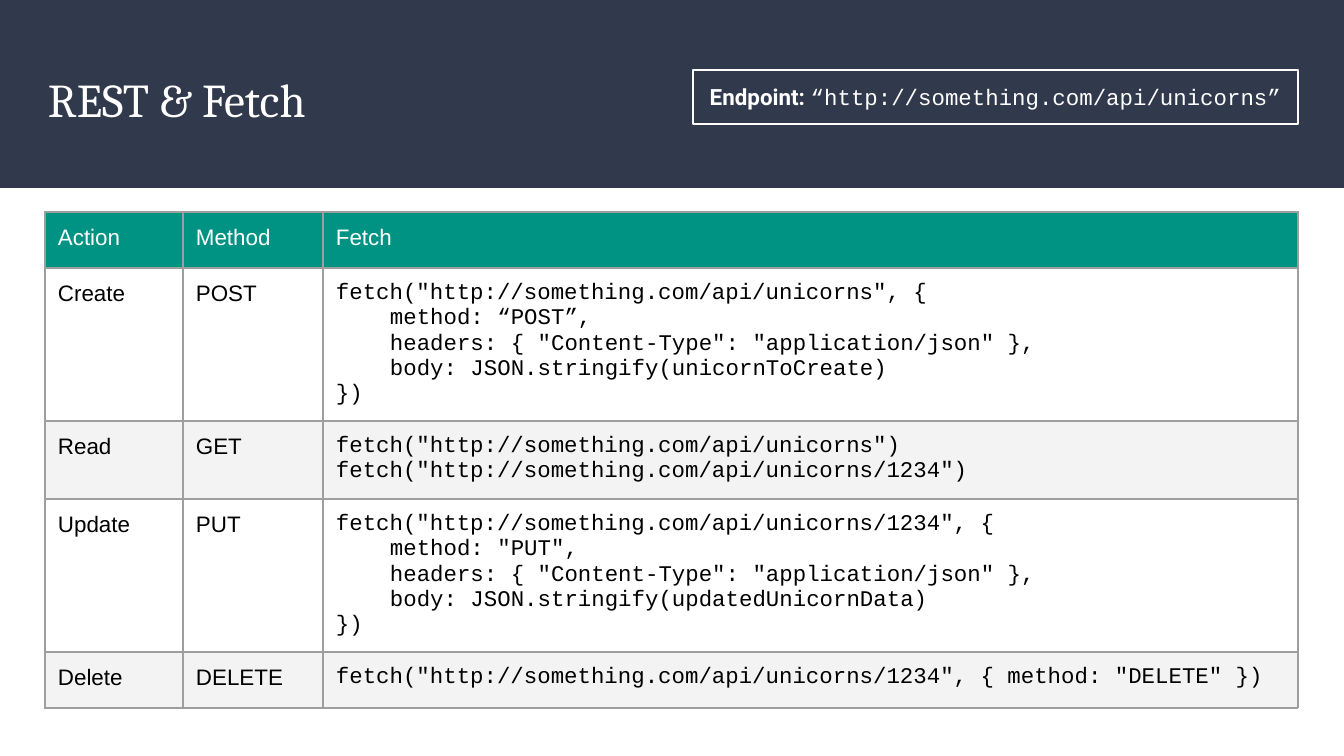
import pptx
import pptx.chart.data
import pptx.dml.color
import pptx.enum.shapes
import pptx.enum.text
import pptx.oxml
import pptx.oxml.ns
import pptx.util

PX = 914400 / 134.4
W, H = 1344, 756
PAD = 13
INDENT = 54
COLORS = {
    "navy": "31394D", "teal": "009384", "white": "FFFFFF",
    "black": "000000", "stripe": "F3F3F3", "grid": "9E9E9E",
}
SANS, SERIF, MONO, LABEL = "Arial", "Cambria", "Courier New", "Roboto"

HEADER = ["Action", "Method", "Fetch"]
# Each code line is (indent level, text).
CALLS = [
    ("Create", "POST", [
        (0, 'fetch("http://something.com/api/unicorns", {'),
        (1, "method: “POST”,"),
        (1, 'headers: { "Content-Type": "application/json" },'),
        (1, "body: JSON.stringify(unicornToCreate)"),
        (0, "})"),
    ]),
    ("Read", "GET", [
        (0, 'fetch("http://something.com/api/unicorns")'),
        (0, 'fetch("http://something.com/api/unicorns/1234")'),
    ]),
    ("Update", "PUT", [
        (0, 'fetch("http://something.com/api/unicorns/1234", {'),
        (1, 'method: "PUT",'),
        (1, 'headers: { "Content-Type": "application/json" },'),
        (1, "body: JSON.stringify(updatedUnicornData)"),
        (0, "})"),
    ]),
    ("Delete", "DELETE", [
        (0, 'fetch("http://something.com/api/unicorns/1234", { method: "DELETE" })'),
    ]),
]


def px(n):
    return pptx.util.Emu(round(n * PX))


def rgb(name):
    return pptx.dml.color.RGBColor.from_string(COLORS[name])


def add_run(p, text, font, color, size=12, bold=False):
    r = p.add_run()
    r.text = text
    r.font.name, r.font.size, r.font.bold = font, pptx.util.Pt(size), bold
    r.font.color.rgb = rgb(color)


def set_insets(target):
    """Give a text frame or a table cell equal margins."""
    target.margin_left = target.margin_right = px(PAD)
    target.margin_top = target.margin_bottom = px(PAD)


def add_rect(s, x, y, w, h):
    sp = s.shapes.add_shape(pptx.enum.shapes.MSO_SHAPE.RECTANGLE,
                            px(x), px(y), px(w), px(h))
    sp.shadow.inherit = False
    return sp


def add_banner(s, x, y, w, h):
    band = add_rect(s, x, y, w, h)
    band.fill.solid()
    band.fill.fore_color.rgb = rgb("navy")
    band.line.fill.background()
    s.shapes.title._element.addprevious(band._element)

    title = s.shapes.title
    title.left, title.top = px(x + 35), px(y + 57)
    title.width, title.height = px(939), px(69)
    tf = title.text_frame
    set_insets(tf)
    tf.auto_size = pptx.enum.text.MSO_AUTO_SIZE.NONE
    tf.vertical_anchor = pptx.enum.text.MSO_ANCHOR.TOP
    p = tf.paragraphs[0]
    p.alignment = pptx.enum.text.PP_ALIGN.LEFT
    add_run(p, "REST & Fetch", SERIF, "white", 25.2)

    add_endpoint(s, x + 693, y + 70, 605, 54)


def add_endpoint(s, x, y, w, h):
    sp = add_rect(s, x, y, w, h)
    sp.fill.background()
    sp.line.color.rgb = rgb("white")
    sp.line.width = pptx.util.Pt(0.75)
    tf = sp.text_frame
    set_insets(tf)
    tf.word_wrap = True
    tf.vertical_anchor = pptx.enum.text.MSO_ANCHOR.MIDDLE
    p = tf.paragraphs[0]
    p.alignment = pptx.enum.text.PP_ALIGN.CENTER
    add_run(p, "Endpoint: ", LABEL, "white", bold=True)
    add_run(p, "“http://something.com/api/unicorns”", MONO, "white")


def set_borders(cell):
    pr = cell._tc.get_or_add_tcPr()
    for i, side in enumerate(("lnL", "lnR", "lnT", "lnB")):
        pr.insert(i, pptx.oxml.parse_xml(
            f'<a:{side} {pptx.oxml.ns.nsdecls("a")} w="9525"><a:solidFill>'
            f'<a:srgbClr val="{COLORS["grid"]}"/></a:solidFill></a:{side}>'))


def fill_cell(cell, lines, font, color, fill):
    set_insets(cell)
    cell.fill.solid()
    cell.fill.fore_color.rgb = rgb(fill)
    set_borders(cell)
    tf = cell.text_frame
    for i, (level, text) in enumerate(lines):
        p = tf.add_paragraph() if i else tf.paragraphs[0]
        if level:
            p._p.get_or_add_pPr().set("marL", str(px(level * INDENT)))
        add_run(p, text, font, color)


def add_calls_table(s, x, y, w, h):
    cols = [138, 140, w - 278]
    rows = [56, 153, 78, 153, 56]
    table = s.shapes.add_table(len(rows), len(cols),
                               px(x), px(y), px(w), px(h)).table
    for col, width in zip(table.columns, cols):
        col.width = px(width)
    for row, height in zip(table.rows, rows):
        row.height = px(height)
    for c, text in enumerate(HEADER):
        fill_cell(table.cell(0, c), [(0, text)], SANS, "white", "teal")
    for r, (action, method, code) in enumerate(CALLS, 1):
        fill = "white" if r % 2 else "stripe"
        fill_cell(table.cell(r, 0), [(0, action)], SANS, "black", fill)
        fill_cell(table.cell(r, 1), [(0, method)], SANS, "black", fill)
        fill_cell(table.cell(r, 2), code, MONO, "black", fill)


def main():
    prs = pptx.Presentation()
    prs.slide_width, prs.slide_height = px(W), px(H)
    s = prs.slides.add_slide(prs.slide_layouts[5])
    add_banner(s, 0, 0, W, 188)
    add_calls_table(s, 45, 212, 1253, 496)
    prs.save("out.pptx")


if __name__ == "__main__":
    main()
